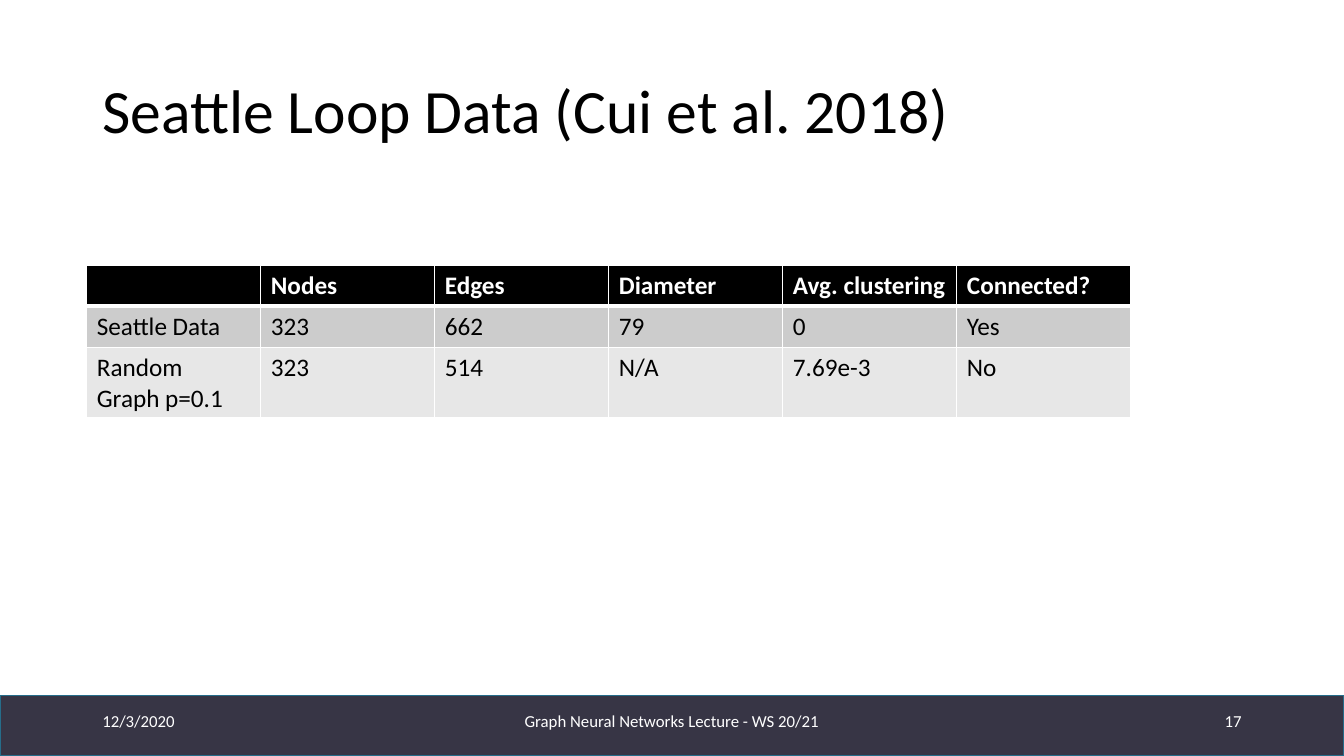
from dataclasses import dataclass

from lxml import etree
from pptx import Presentation
from pptx import util as u
from pptx.dml import color as c
from pptx.enum import shapes as s
from pptx.enum import text as t
from pptx.oxml import ns


@dataclass
class Label:
    words: str
    left: float
    top: float
    width: float
    height: float
    size: float
    ink: str
    align: t.PP_ALIGN = t.PP_ALIGN.LEFT
    lead: float = 1.0


@dataclass
class Row:
    cells: list[str]
    height: float
    fill: str
    ink: str
    bold: bool
    base: float


LABELS = [
    Label("Seattle Loop Data (Cui et al. 2018)", 66, 28.75, 828, 104.4, 44, "000000", lead=0.9),
    Label("12/3/2020", 66, 500.5, 216, 28.75, 12, "FFFFFF"),
    Label("Graph Neural Networks Lecture - WS 20/21", 318, 500.5, 324, 28.75, 12, "FFFFFF",
          t.PP_ALIGN.CENTER),
    Label("17", 678, 500.5, 216, 28.75, 12, "FFFFFF", t.PP_ALIGN.RIGHT),
]
ROWS = [
    Row(["", "Nodes", "Edges", "Diameter", "Avg. clustering", "Connected?"],
        29.2, "000000", "FFFFFF", True, 3),
    Row(["Seattle Data", "323", "662", "79", "0", "Yes"],
        29.2, "CCCCCC", "000000", False, 1),
    Row(["Random Graph p=0.1", "323", "514", "N/A", "7.69e-3", "No"],
        50.4, "E7E7E7", "000000", False, 1),
]


def paint(part, tone: str) -> None:
    if hasattr(part, "solid"):
        part.solid()
        part.fore_color.rgb = c.RGBColor.from_string(tone)
    else:
        part.color.rgb = c.RGBColor.from_string(tone)


def style(item, form: dict) -> None:
    for name, value in form.items():
        setattr(item, name, value)


def write(para, words: str, size: float, ink: str, bold: bool = False) -> None:
    para.text = words
    style(para.font, {"name": "Calibri", "size": u.Pt(size), "bold": bold})
    paint(para.font, ink)


def draw_bar(slide) -> None:
    bar = slide.shapes.add_shape(s.MSO_SHAPE.RECTANGLE, 0, u.Pt(496.8), u.Pt(960), u.Pt(43.2))
    bar.shadow.inherit = False
    paint(bar.fill, "373545")
    paint(bar.line, "266D8A")
    bar.line.width = u.Pt(1)


def draw_label(slide, label: Label) -> None:
    place = [u.Pt(n) for n in (label.left, label.top, label.width, label.height)]
    frame = slide.shapes.add_textbox(*place).text_frame
    style(frame, {"word_wrap": True, "vertical_anchor": t.MSO_ANCHOR.MIDDLE})
    para = frame.paragraphs[0]
    write(para, label.words, label.size, label.ink)
    style(para, {"alignment": label.align, "line_spacing": label.lead})


def edge(cell, side: str, width: float) -> None:
    props = cell._tc.get_or_add_tcPr()
    line = etree.SubElement(props, ns.qn(f"a:ln{side}"), w=str(u.Pt(width)))
    fill = etree.SubElement(line, ns.qn("a:solidFill"))
    etree.SubElement(fill, ns.qn("a:srgbClr"), val="FFFFFF")


def draw_table(slide, rows: list[Row]) -> None:
    count = len(rows[0].cells)
    width = 124.3
    high = sum(row.height for row in rows)
    grid = slide.shapes.add_table(len(rows), count, u.Pt(62), u.Pt(189.6),
                                  u.Pt(width * count), u.Pt(high)).table
    for col in grid.columns:
        col.width = u.Pt(width)
    roof = 1
    for y, row in enumerate(rows):
        grid.rows[y].height = u.Pt(row.height)
        for x, words in enumerate(row.cells):
            cell = grid.cell(y, x)
            for side, size in {"L": 1, "R": 1, "T": roof, "B": row.base}.items():
                edge(cell, side, size)
            paint(cell.fill, row.fill)
            write(cell.text_frame.paragraphs[0], words, 18, row.ink, row.bold)
        roof = row.base


def main() -> None:
    deck = Presentation()
    style(deck, {"slide_width": u.Pt(960), "slide_height": u.Pt(540)})
    slide = deck.slides.add_slide(deck.slide_layouts[6])
    draw_bar(slide)
    for label in LABELS:
        draw_label(slide, label)
    draw_table(slide, ROWS)
    deck.save("out.pptx")


if __name__ == "__main__":
    main()
